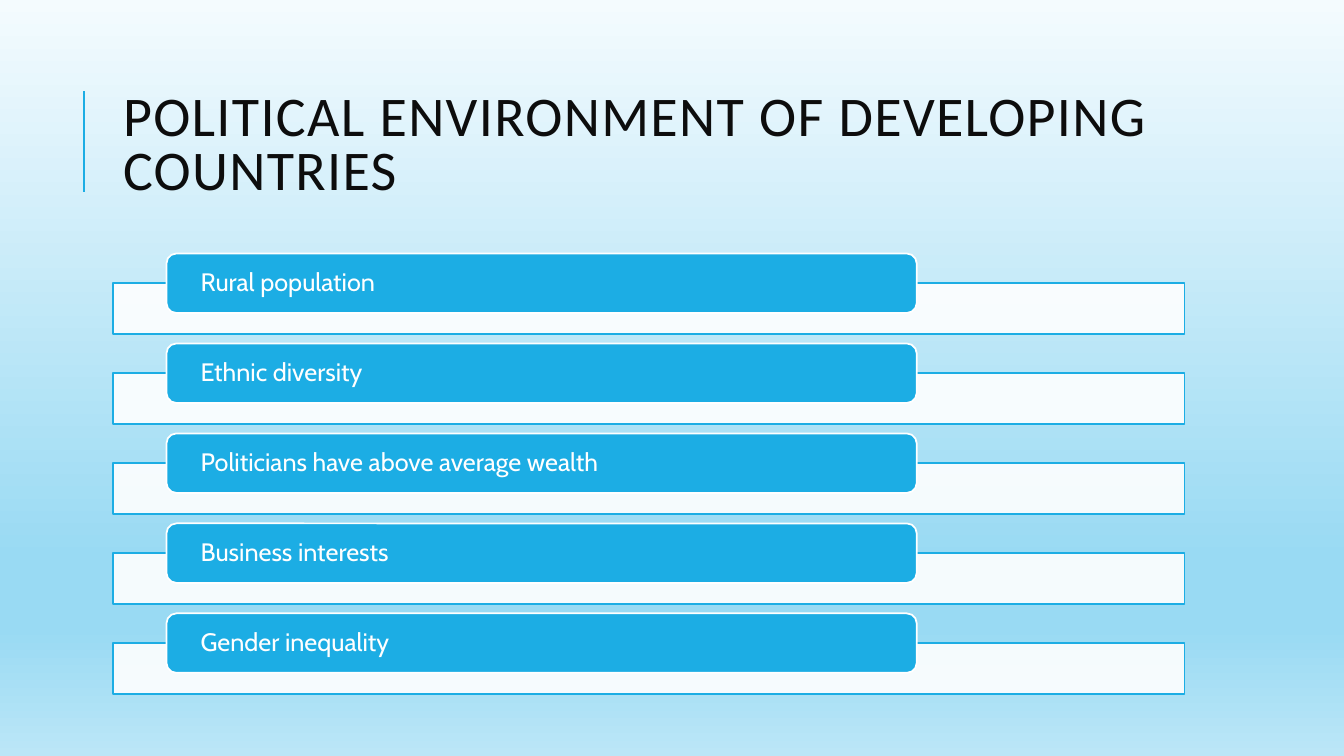
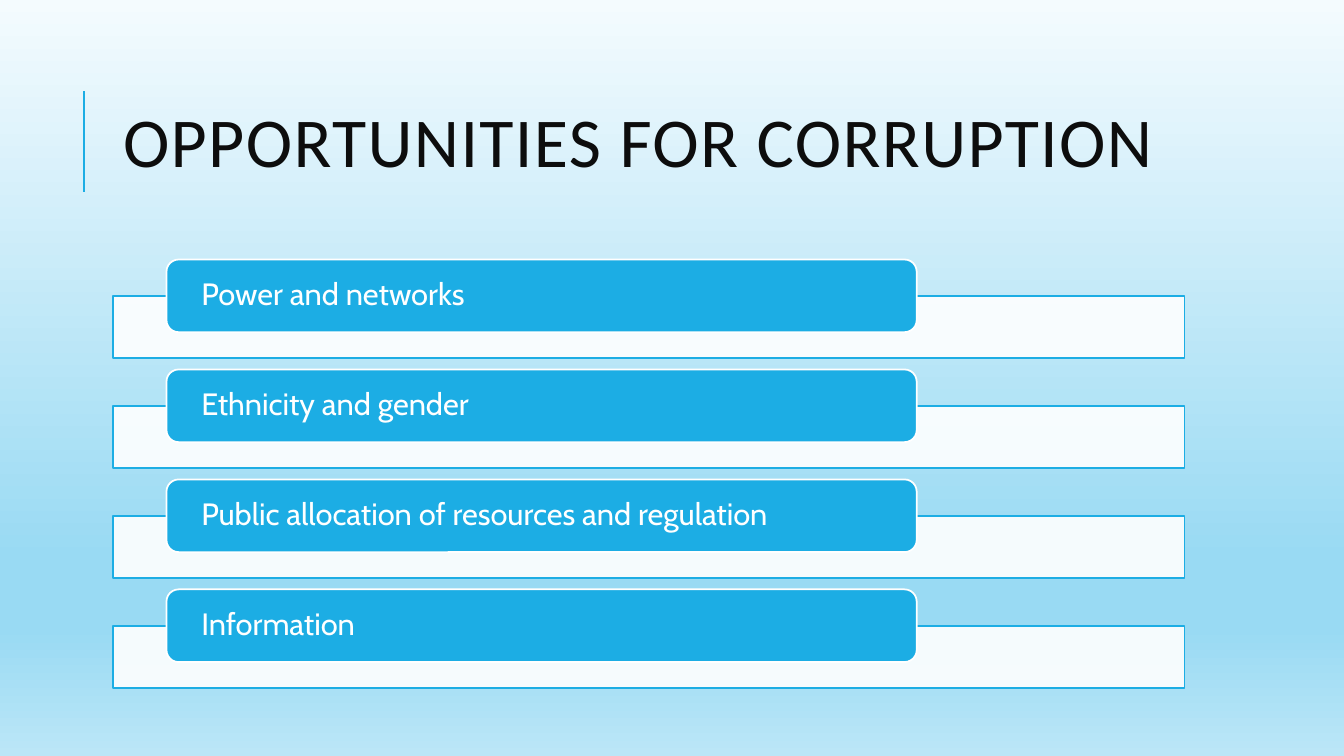
"""Build two slides of stacked labels on a shared sky-gradient master."""
from lxml import etree
from pptx import Presentation, util as u
from pptx.dml.color import RGBColor
from pptx.enum import shapes, text
from pptx.oxml.ns import qn

COLORS = {"accent": "1CADE4", "white": "FFFFFF", "title": "0D0D0D"}
SKY = [(0, "F4FBFE"), (74, "99DAF3"), (83, "99DAF3"), (100, "BBE6F7")]
TITLE_FONT, LABEL_FONT = "Calibri", "Cabin"
SLIDES = [
    ("POLITICAL ENVIRONMENT OF DEVELOPING COUNTRIES", 40, 18,
     ["Rural population", "Ethnic diversity", "Politicians have above average wealth",
      "Business interests", "Gender inequality"]),
    ("OPPORTUNITIES FOR CORRUPTION", 50, 22,
     ["Power and networks", "Ethnicity and gender",
      "Public allocation of resources and regulation", "Information"]),
]


def rgb(name):
    return RGBColor.from_string(COLORS[name])


def add_box(slide, preset, left, top, width, height, fill, line):
    box = slide.shapes.add_shape(preset, *(round(v) for v in (left, top, width, height)))
    box.shadow.inherit = False
    box.fill.solid()
    box.fill.fore_color.rgb = rgb(fill)
    box.line.color.rgb = rgb(line)
    box.line.width = u.Pt(1.25)
    return box


prs = Presentation()
prs.slide_width, prs.slide_height = u.Inches(13.33), u.Inches(7.5)
left, width = u.Inches(1.12), u.Inches(10.63)
stack_middle = u.Inches(4.7)

master = prs.slide_master
sky = master.background.fill
sky.gradient()
sky.gradient_angle = 270
stops = master.element.find(".//" + qn("a:gsLst"))
for stop in list(stops):
    stops.remove(stop)
for position, color in SKY:
    stop = etree.SubElement(stops, qn("a:gs"), pos=str(position * 1000))
    etree.SubElement(stop, qn("a:srgbClr"), val=color)

layout = prs.slide_layouts[5]
title_slot = layout.placeholders[0]
title_slot.left, title_slot.top = left, u.Inches(0.64)
title_slot.width, title_slot.height = width, u.Inches(1.64)

for number, (heading, heading_size, label_size, labels) in enumerate(SLIDES):
    slide = prs.slides.add_slide(layout)
    if number == 0:
        rule = slide.shapes.add_connector(
            shapes.MSO_CONNECTOR.STRAIGHT,
            u.Inches(0.83), u.Inches(1.9), u.Inches(0.83), u.Inches(0.9))
        rule.line.color.rgb = rgb("accent")
        rule.line.width = u.Pt(1.5)
        etree.SubElement(rule.element.spPr, qn("a:effectLst"))
        layout.shapes.element.append(rule.element)

    title = slide.shapes.title
    title.text_frame.text = heading
    title.text_frame.vertical_anchor = text.MSO_ANCHOR.MIDDLE
    paragraph = title.text_frame.paragraphs[0]
    paragraph.alignment = text.PP_ALIGN.LEFT
    paragraph.line_spacing = 0.8
    paragraph.font.size = u.Pt(heading_size)
    paragraph.font.name = TITLE_FONT
    paragraph.font.color.rgb = rgb("title")
    for run in title.element.iter(qn("a:r")):
        run.get_or_add_rPr().set("spc", "100")

    em = u.Pt(label_size)
    pitch, bar_height, pill_height = 3.57 * em, 2.02 * em, 2.36 * em
    stack_height = (len(labels) - 1) * pitch + pill_height / 2 + bar_height
    for row, label in enumerate(labels):
        top = stack_middle - stack_height / 2 + row * pitch
        bar = add_box(slide, shapes.MSO_SHAPE.RECTANGLE, left, top + pill_height / 2,
                      width, bar_height, "white", "accent")
        bar_color = bar.element.spPr.find(qn("a:solidFill"))[0]
        etree.SubElement(bar_color, qn("a:alpha"), val="90000")

        pill = add_box(slide, shapes.MSO_SHAPE.ROUNDED_RECTANGLE, left + 0.05 * width, top,
                       0.7 * width, pill_height, "accent", "white")
        frame = pill.text_frame
        frame.text = label
        frame.word_wrap = True
        frame.vertical_anchor = text.MSO_ANCHOR.MIDDLE
        frame.margin_left = frame.margin_right = u.Inches(0.31)
        frame.margin_top = frame.margin_bottom = 0
        paragraph = frame.paragraphs[0]
        paragraph.alignment = text.PP_ALIGN.LEFT
        paragraph.line_spacing = 0.9
        paragraph.font.size = em
        paragraph.font.name = LABEL_FONT
        paragraph.font.color.rgb = rgb("white")

prs.save("out.pptx")
